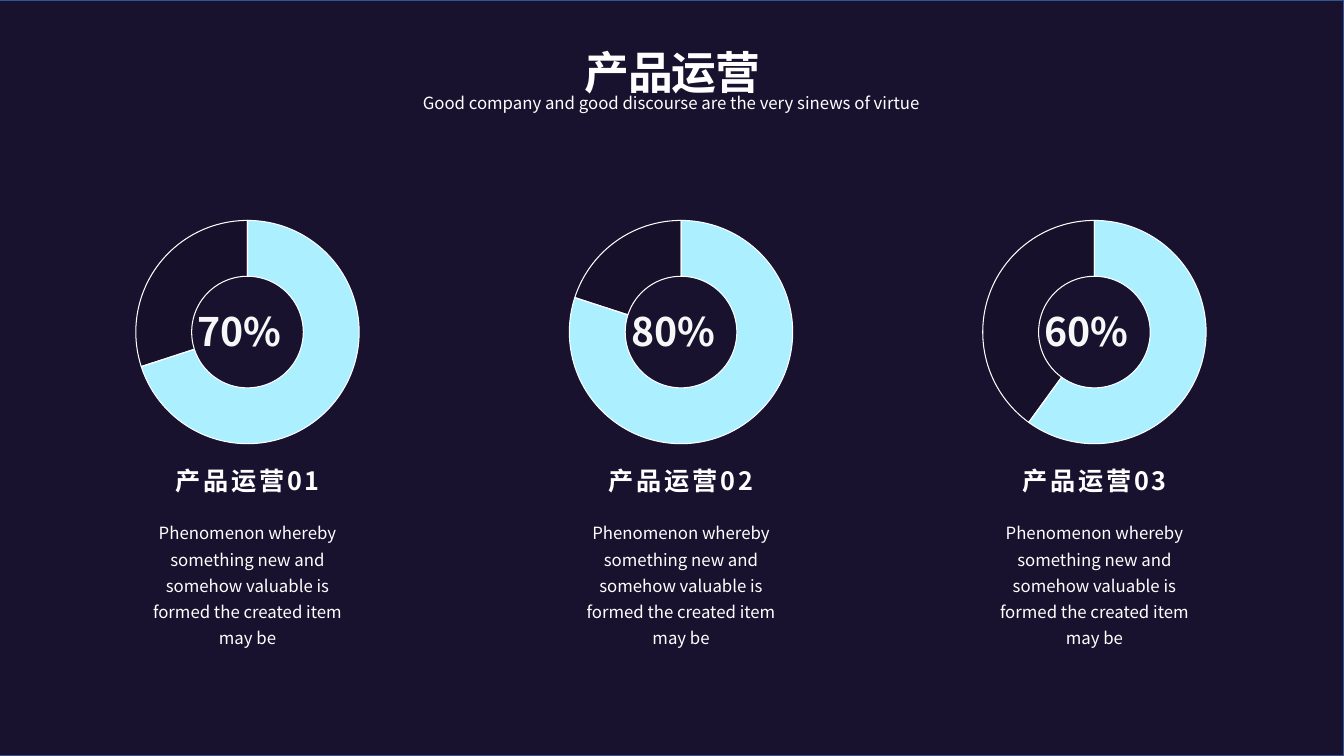
from dataclasses import dataclass

from lxml import etree
from pptx import Presentation
from pptx import util as u
from pptx.chart import data as chart_data
from pptx.dml.color import RGBColor
from pptx.enum import chart as chart_enum
from pptx.enum import shapes, text
from pptx.oxml.ns import qn

# Grid: one cell is a tenth of an inch
COLUMNS, ROWS = 133.3, 75
CELL = u.Inches(0.1)


@dataclass(frozen=True)
class Theme:
    font: str = "Noto Sans CJK SC"
    night: str = "19122F"
    edge: str = "325491"
    white: str = "FFFFFF"
    pale: str = "F6F8F8"
    ice: str = "ACEFFF"
    black: str = "000000"
    title: int = 32
    percent: int = 28
    heading: int = 18
    body: int = 12
    chart: int = 10


@dataclass(frozen=True)
class Frame:
    """Place in grid cells."""
    left: float
    top: float
    width: float
    height: float

    def emu(self) -> tuple[int, ...]:
        return tuple(round(n * CELL) for n in
                     (self.left, self.top, self.width, self.height))


@dataclass(frozen=True)
class Metric:
    center: float
    share: int
    heading: str

    def frame(self, top: float, width: float, height: float,
              shift: float = 0) -> Frame:
        return Frame(self.center + shift - width / 2, top, width, height)


THEME = Theme()
TITLE = "产品运营"
SUBTITLE = "Good company and good discourse are the very sinews of virtue"
DESCRIPTION = ("Phenomenon whereby something new and somehow valuable "
               "is formed the created item may be")
METRICS = [
    Metric(center, share, f"{TITLE}{number:02d}")
    for number, (center, share) in enumerate(
        [(24.55, 70), (67.55, 80), (108.55, 60)], start=1)
]


def rgb(value: str) -> RGBColor:
    return RGBColor.from_string(value)


def write(box, words: str, *, size: int, color: str = THEME.white,
          bold: bool = False, tracking: float = 0, line_spacing: float = 1.0,
          inset: float | None = None, wrap: bool = True,
          grow: bool = True, middle: bool = False) -> None:
    """Fill a text box or placeholder with one centred paragraph."""
    frame = box.text_frame
    frame.word_wrap = wrap
    frame.auto_size = (text.MSO_AUTO_SIZE.SHAPE_TO_FIT_TEXT if grow
                       else text.MSO_AUTO_SIZE.NONE)
    frame.vertical_anchor = (text.MSO_ANCHOR.MIDDLE if middle
                             else text.MSO_ANCHOR.TOP)
    if inset is not None:
        frame.margin_left = frame.margin_right = u.Inches(inset)
        frame.margin_top = frame.margin_bottom = u.Inches(inset)
    paragraph = frame.paragraphs[0]
    paragraph.alignment = text.PP_ALIGN.CENTER
    paragraph.line_spacing = line_spacing
    run = paragraph.add_run()
    run.text = words
    font = run.font
    font.name, font.size, font.bold = THEME.font, u.Pt(size), bold
    font.color.rgb = rgb(color)
    properties = run._r.get_or_add_rPr()
    etree.SubElement(properties, qn("a:ea"), typeface=THEME.font)
    if tracking:
        properties.set("spc", str(round(tracking * 100)))


def add_text(slide, frame: Frame, words: str, **style) -> None:
    write(slide.shapes.add_textbox(*frame.emu()), words, **style)


def add_backdrop(slide) -> None:
    frame = Frame(-2.6, 0, COLUMNS + 2.6, ROWS)
    backdrop = slide.shapes.add_shape(shapes.MSO_SHAPE.RECTANGLE, *frame.emu())
    backdrop.shadow.inherit = False
    backdrop.fill.solid()
    backdrop.fill.fore_color.rgb = rgb(THEME.night)
    backdrop.line.color.rgb = rgb(THEME.edge)
    backdrop.line.width = u.Pt(1)
    slide.shapes.title.element.addprevious(backdrop.element)


def add_ring(slide, metric: Metric) -> None:
    values = chart_data.CategoryChartData()
    values.categories = ["1", "2"]
    values.add_series("Series 1", (metric.share, 100 - metric.share))
    chart = slide.shapes.add_chart(
        chart_enum.XL_CHART_TYPE.DOUGHNUT,
        *metric.frame(20.5, 34.7, 24.9).emu(), values).chart
    chart.has_legend = chart.has_title = False
    chart.font.name, chart.font.size = THEME.font, u.Pt(THEME.chart)
    chart.font.color.rgb = rgb(THEME.black)
    plot = chart.plots[0]
    plot.vary_by_categories = False
    for index, color in enumerate((THEME.ice, THEME.black)):
        slice_format = plot.series[0].points[index].format
        slice_format.fill.solid()
        slice_format.fill.fore_color.rgb = rgb(color)
        slice_format.line.color.rgb = rgb(THEME.white)
        slice_format.line.width = u.Pt(0.75)

    # The remainder is nearly transparent
    remainder = plot.series[0].points[1].format.fill._xPr
    etree.SubElement(remainder.find(".//" + qn("a:srgbClr")),
                     qn("a:alpha"), val="10000")
    space = chart._chartSpace
    space.find(".//" + qn("c:holeSize")).set("val", "83")

    # Centre the ring in its chart
    area = space.find(".//" + qn("c:plotArea"))
    layout = area.find(qn("c:layout"))
    if layout is None:
        layout = etree.Element(qn("c:layout"))
        area.insert(0, layout)
    manual = etree.SubElement(layout, qn("c:manualLayout"))
    for tag, setting in (("layoutTarget", "inner"), ("xMode", "edge"),
                         ("yMode", "edge"), ("x", "0.18"), ("y", "0.055"),
                         ("w", "0.64"), ("h", "0.89")):
        etree.SubElement(manual, qn(f"c:{tag}"), val=setting)


def add_metric(slide, metric: Metric) -> None:
    add_ring(slide, metric)
    add_text(slide, metric.frame(30, 10.5, 5.7, shift=-0.8),
             f"{metric.share}%", size=THEME.percent, color=THEME.pale,
             bold=True, wrap=False)
    add_text(slide, metric.frame(50.8, 24.1, 14.1), DESCRIPTION,
             size=THEME.body, line_spacing=1.3)
    add_text(slide, metric.frame(46, 21.1, 4.1), metric.heading,
             size=THEME.heading, bold=True, tracking=2,
             line_spacing=0.9, grow=False)


def main() -> None:
    deck = Presentation()
    deck.slide_width, deck.slide_height = Frame(0, 0, COLUMNS, ROWS).emu()[2:]
    slide = deck.slides.add_slide(deck.slide_layouts.get_by_name("Title Only"))
    add_backdrop(slide)

    # Title and subtitle
    title = slide.shapes.title
    title.left, title.top, title.width, title.height = Frame(
        11.8, 4, 109.8, 6.2).emu()
    write(title, TITLE, size=THEME.title, bold=True, tracking=-1,
          inset=0.04, middle=True)
    add_text(slide, Frame(17.2, 8.8, 98.8, 2.8), SUBTITLE,
             size=THEME.body, inset=0.04, middle=True)

    # Rings with their captions
    for metric in METRICS:
        add_metric(slide, metric)
    deck.save("out.pptx")


if __name__ == "__main__":
    main()
